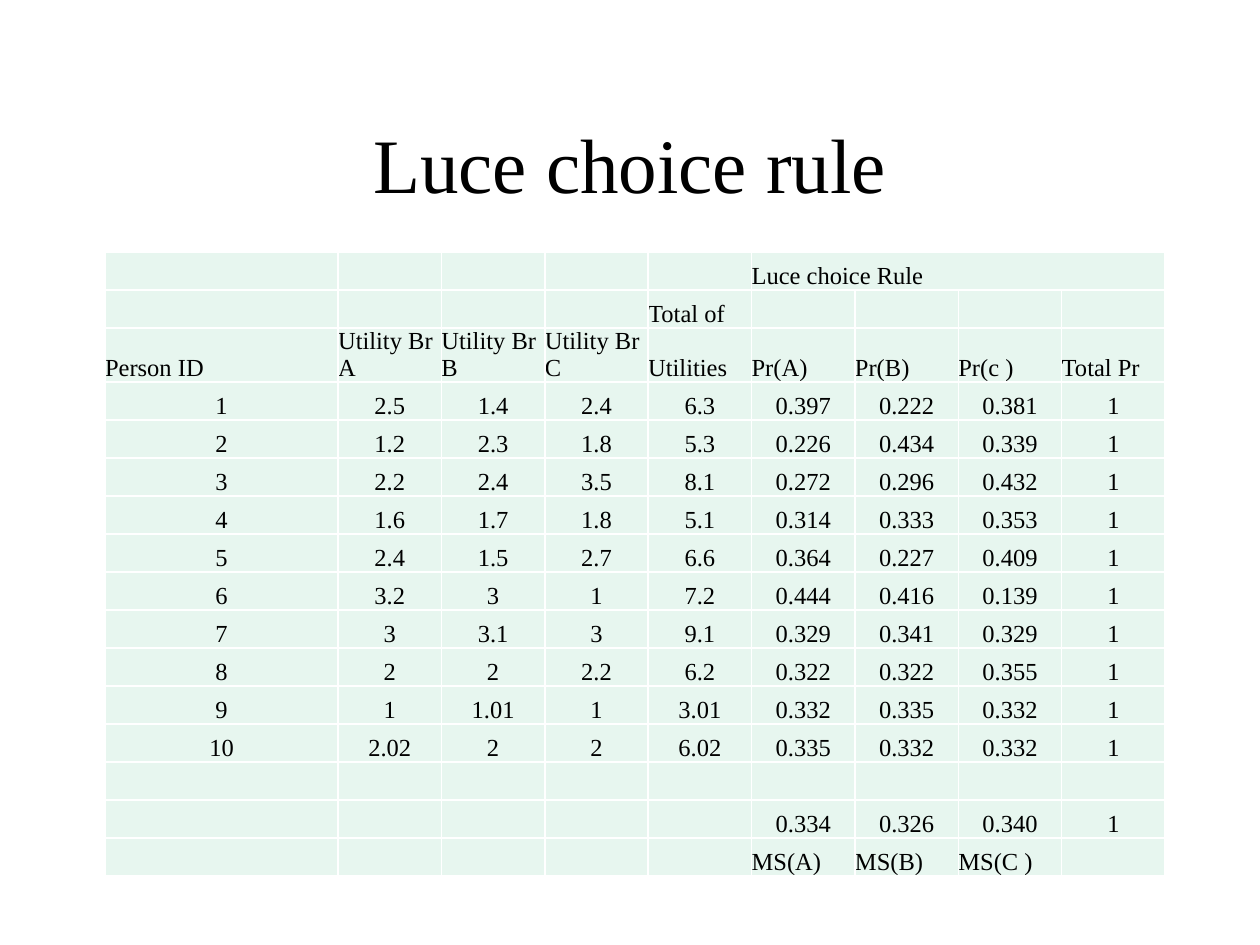
from lxml import etree
from pptx import Presentation
from pptx import util as u
from pptx.dml.color import RGBColor
from pptx.enum import text
from pptx.oxml.ns import qn

Pt = u.Pt
TITLE = "Luce choice rule"
HEADS = [
    [""] * 5 + ["Luce choice Rule", "", "", ""],
    [""] * 4 + ["Total of "] + [""] * 4,
    ["Person ID", "Utility Br A", "Utility Br B", "Utility Br C", "Utilities",
     "Pr(A)", "Pr(B)", "Pr(c )", "Total Pr"],
]
PEOPLE = [
    ("1", "2.5", "1.4", "2.4", "6.3", "0.397", "0.222", "0.381", "1"),
    ("2", "1.2", "2.3", "1.8", "5.3", "0.226", "0.434", "0.339", "1"),
    ("3", "2.2", "2.4", "3.5", "8.1", "0.272", "0.296", "0.432", "1"),
    ("4", "1.6", "1.7", "1.8", "5.1", "0.314", "0.333", "0.353", "1"),
    ("5", "2.4", "1.5", "2.7", "6.6", "0.364", "0.227", "0.409", "1"),
    ("6", "3.2", "3", "1", "7.2", "0.444", "0.416", "0.139", "1"),
    ("7", "3", "3.1", "3", "9.1", "0.329", "0.341", "0.329", "1"),
    ("8", "2", "2", "2.2", "6.2", "0.322", "0.322", "0.355", "1"),
    ("9", "1", "1.01", "1", "3.01", "0.332", "0.335", "0.332", "1"),
    ("10", "2.02", "2", "2", "6.02", "0.335", "0.332", "0.332", "1"),
]
SHARES = [
    [""] * 9,
    [""] * 5 + ["0.334", "0.326", "0.340", "1"],
    [""] * 5 + ["MS(A)", "MS(B)", "MS(C )", ""],
]
ROWS = HEADS + PEOPLE + SHARES
WIDTHS = [133.2] + [59.1] * 8
ROW_HEIGHT = 21.72
FONT, INK, MINT, WHITE = "Times New Roman", "000000", "E7F6EF", "FFFFFF"
CELL_FORMAT = dict(margin_left=0, margin_right=0, margin_top=0, margin_bottom=0,
                   vertical_anchor=text.MSO_ANCHOR.BOTTOM)


def rgb(value):
    """Turn a hex string into a colour."""
    return RGBColor.from_string(value)


def put(obj, formats):
    """Set every attribute in a dict of format values."""
    for name, value in formats.items():
        setattr(obj, name, value)


def write(p, words, size, align):
    """Write one run, or size the paragraph mark when there are no words."""
    p.alignment = align
    if words:
        r = p.add_run()
        r.text = words
        put(r.font, dict(name=FONT, size=Pt(size)))
        r.font.color.rgb = rgb(INK)
    else:
        etree.SubElement(p._p, qn("a:endParaRPr"), sz=str(size * 100))


def border(cell, color, width):
    """Draw the four edges of a cell."""
    tc_pr = cell._tc.get_or_add_tcPr()
    for i, side in enumerate(("lnL", "lnR", "lnT", "lnB")):
        ln = etree.Element(qn("a:" + side), w=str(Pt(width)))
        fill = etree.SubElement(ln, qn("a:solidFill"))
        etree.SubElement(fill, qn("a:srgbClr"), val=color)
        tc_pr.insert(i, ln)


def is_number(words):
    """Tell whether a cell holds a value."""
    return words.replace(".", "").isdigit()


def add_title(s):
    """Place and fill the title."""
    sp = s.shapes.title
    put(sp, dict(left=Pt(54), top=Pt(48), width=Pt(612), height=Pt(90)))
    tf = sp.text_frame
    tf.vertical_anchor = text.MSO_ANCHOR.MIDDLE
    write(tf.paragraphs[0], TITLE, 44, text.PP_ALIGN.CENTER)


def add_utilities(s):
    """Build the table of utilities and choice probabilities."""
    table = s.shapes.add_table(len(ROWS), len(WIDTHS), Pt(60), Pt(144),
                               Pt(sum(WIDTHS)), Pt(ROW_HEIGHT * len(ROWS))).table
    put(table, dict(first_row=False, horz_banding=False))
    for column, width in zip(table.columns, WIDTHS):
        column.width = Pt(width)
    for i, row in enumerate(ROWS):
        table.rows[i].height = Pt(ROW_HEIGHT)
        for j, words in enumerate(row):
            cell = table.cell(i, j)
            put(cell, CELL_FORMAT)
            cell.fill.solid()
            cell.fill.fore_color.rgb = rgb(MINT)
            border(cell, WHITE, 1)
            align = text.PP_ALIGN.CENTER if is_number(words) else text.PP_ALIGN.LEFT
            write(cell.text_frame.paragraphs[0], words, 14, align)
    table.cell(0, 5).merge(table.cell(0, 8))


prs = Presentation()
put(prs, dict(slide_width=Pt(720), slide_height=Pt(540)))
s = prs.slides.add_slide(prs.slide_layouts[5])
add_title(s)
add_utilities(s)
prs.save("out.pptx")
